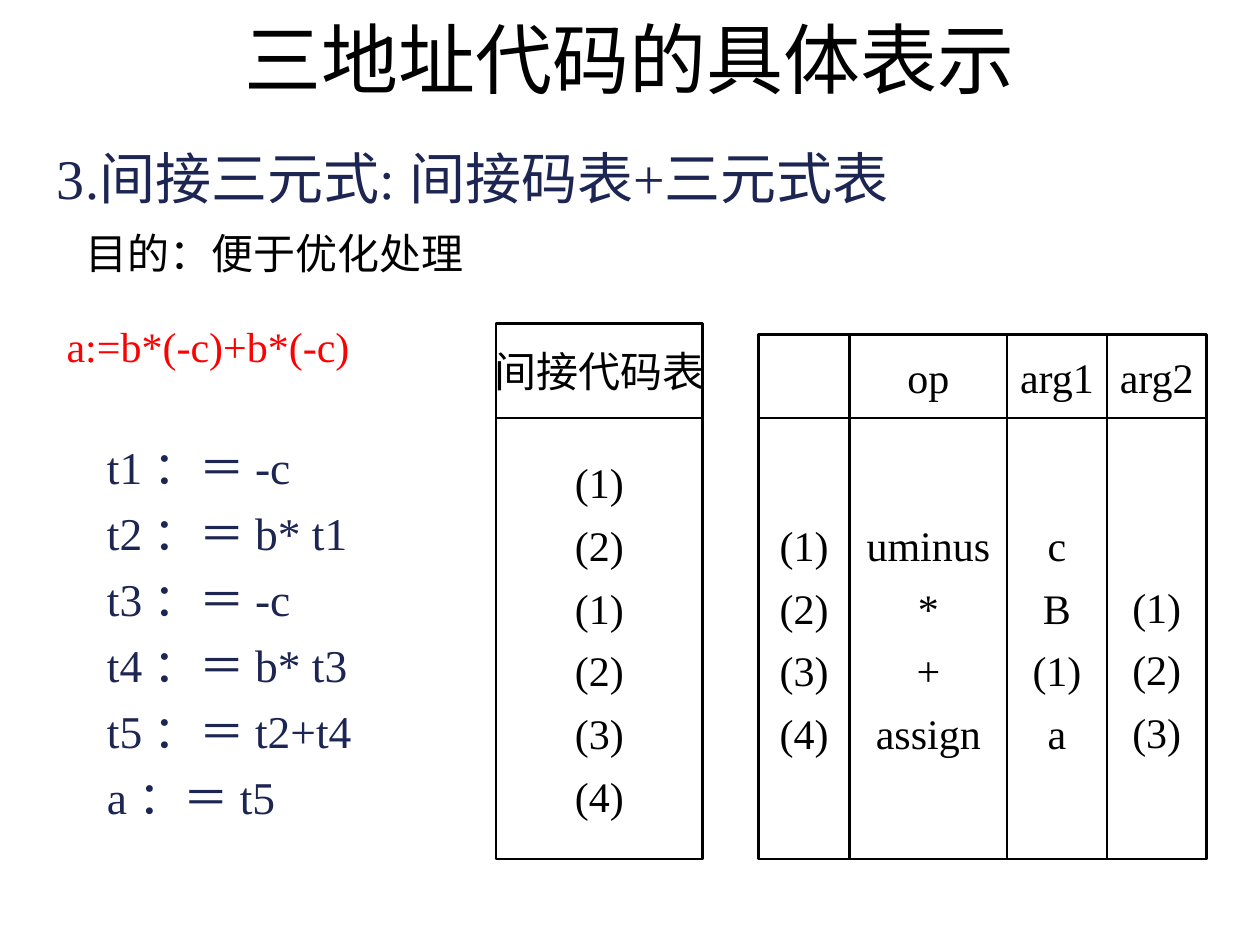
from pptx import Presentation, util as u
from pptx.dml.color import RGBColor
from pptx.enum import shapes, text

Pt = u.Pt
FONT = "Times New Roman"
BLACK, NAVY, RED, WHITE = "000000", "1D2653", "FF0000", "FFFFFF"

TITLE = "三地址代码的具体表示"
HEADING = "3.间接三元式: 间接码表+三元式表"
PURPOSE = "目的：便于优化处理"
STATEMENT = "a:=b*(-c)+b*(-c)"
STEPS = ["t1 ：＝ -c", "t2 ：＝ b* t1", "t3 ：＝ -c",
         "t4 ：＝ b* t3", "t5 ：＝ t2+t4", "a ：＝ t5"]
CODE_COLUMNS = [("间接代码表", 118, ["(1)", "(2)", "(1)", "(2)", "(3)", "(4)"])]
TRIPLE_COLUMNS = [
    ("", 52, ["(1)", "(2)", "(3)", "(4)"]),
    ("op", 90, ["uminus", "*", "+", "assign"]),
    ("arg1", 57, ["c", "B", "(1)", "a"]),
    ("arg2", 57, ["(1)", "(2)", "(3)"]),
]
BODY_TOP, BODY_HEIGHT, ROW_PITCH, ROW_GAP, INSET = 239, 252, 34.7, 7, 3.6


def color(value):
    return RGBColor.from_string(value)


def write(para, words, size=24, ink=BLACK, before=0, spacing=None, align=None, indent=0):
    if indent:
        para._p.get_or_add_pPr().set("marL", str(Pt(indent)))
    para.space_before = Pt(before)
    para.line_spacing = spacing
    para.alignment = align
    span = para.add_run()
    span.text = words
    span.font.name = FONT
    span.font.size = Pt(size)
    span.font.color.rgb = color(ink)


def write_lines(frame, lines, gap=0, **style):
    for index, words in enumerate(lines):
        para = frame.add_paragraph() if index else frame.paragraphs[0]
        write(para, words, before=gap if index else 0, **style)


def add_text(page, left, top, width, height):
    box = page.shapes.add_textbox(Pt(left), Pt(top), Pt(width), Pt(height))
    box.text_frame.word_wrap = True
    return box.text_frame


def add_cell(page, left, top, width, height, lines, missing=0):
    cell = page.shapes.add_shape(
        shapes.MSO_SHAPE.RECTANGLE, Pt(left), Pt(top), Pt(width), Pt(height))
    cell.shadow.inherit = False
    cell.fill.solid()
    cell.fill.fore_color.rgb = color(WHITE)
    cell.line.color.rgb = color(BLACK)
    cell.line.width = Pt(1.5)
    frame = cell.text_frame
    frame.word_wrap = False
    frame.vertical_anchor = text.MSO_ANCHOR.MIDDLE
    frame.margin_top = Pt(INSET + missing * ROW_PITCH)
    write_lines(frame, lines, gap=ROW_GAP, align=text.PP_ALIGN.CENTER)


def add_grid(page, left, header_height, columns):
    rows = max(len(lines) for _, _, lines in columns)
    for header, width, lines in columns:
        add_cell(page, left, BODY_TOP, width, BODY_HEIGHT, lines, rows - len(lines))
        add_cell(page, left, BODY_TOP - header_height, width, header_height,
                 [header] if header else [])
        left += width


def main():
    deck = Presentation()
    deck.slide_width, deck.slide_height = Pt(720), Pt(540)
    page = deck.slides.add_slide(deck.slide_layouts[5])

    title = page.shapes.title
    title.left, title.top, title.width, title.height = Pt(54), Pt(0), Pt(612), Pt(65.5)
    title.text_frame.auto_size = text.MSO_AUTO_SIZE.NONE
    title.text_frame.vertical_anchor = text.MSO_ANCHOR.MIDDLE
    write(title.text_frame.paragraphs[0], TITLE, size=44, align=text.PP_ALIGN.CENTER)

    intro = add_text(page, 25.5, 82.8, 612, 85.7)
    write(intro.paragraphs[0], HEADING, size=32, ink=NAVY, spacing=0.9)
    write(intro.add_paragraph(), PURPOSE, before=12.5, spacing=0.9, indent=16.5)

    add_grid(page, 433.5, 48, TRIPLE_COLUMNS)
    add_grid(page, 283.5, 54, CODE_COLUMNS)
    write_lines(add_text(page, 31, 179.5, 612, 46), [STATEMENT], ink=RED)
    write_lines(add_text(page, 54, 247.5, 215.3, 238.3), STEPS,
                gap=6.5, size=26, ink=NAVY)
    deck.save("out.pptx")


if __name__ == "__main__":
    main()
